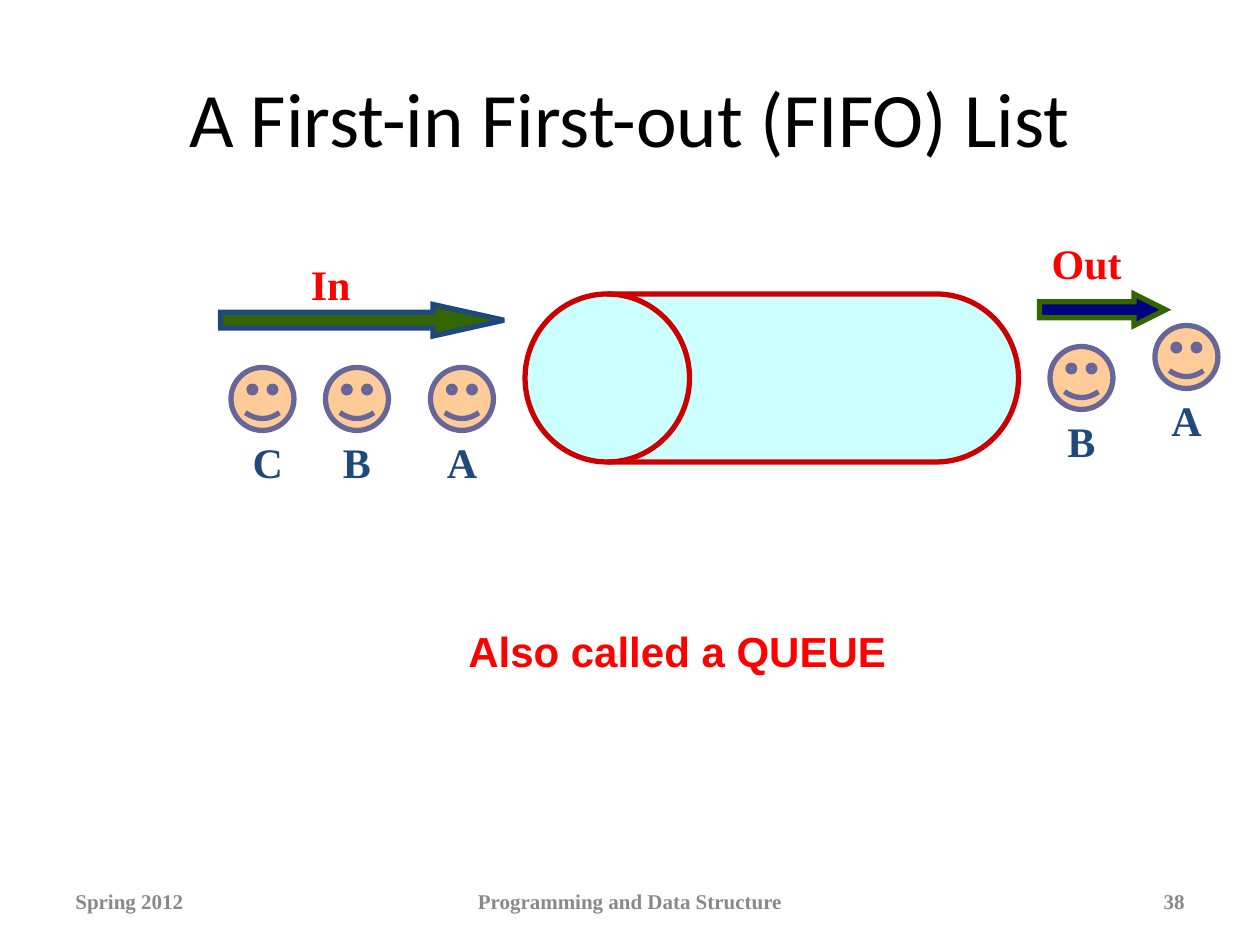
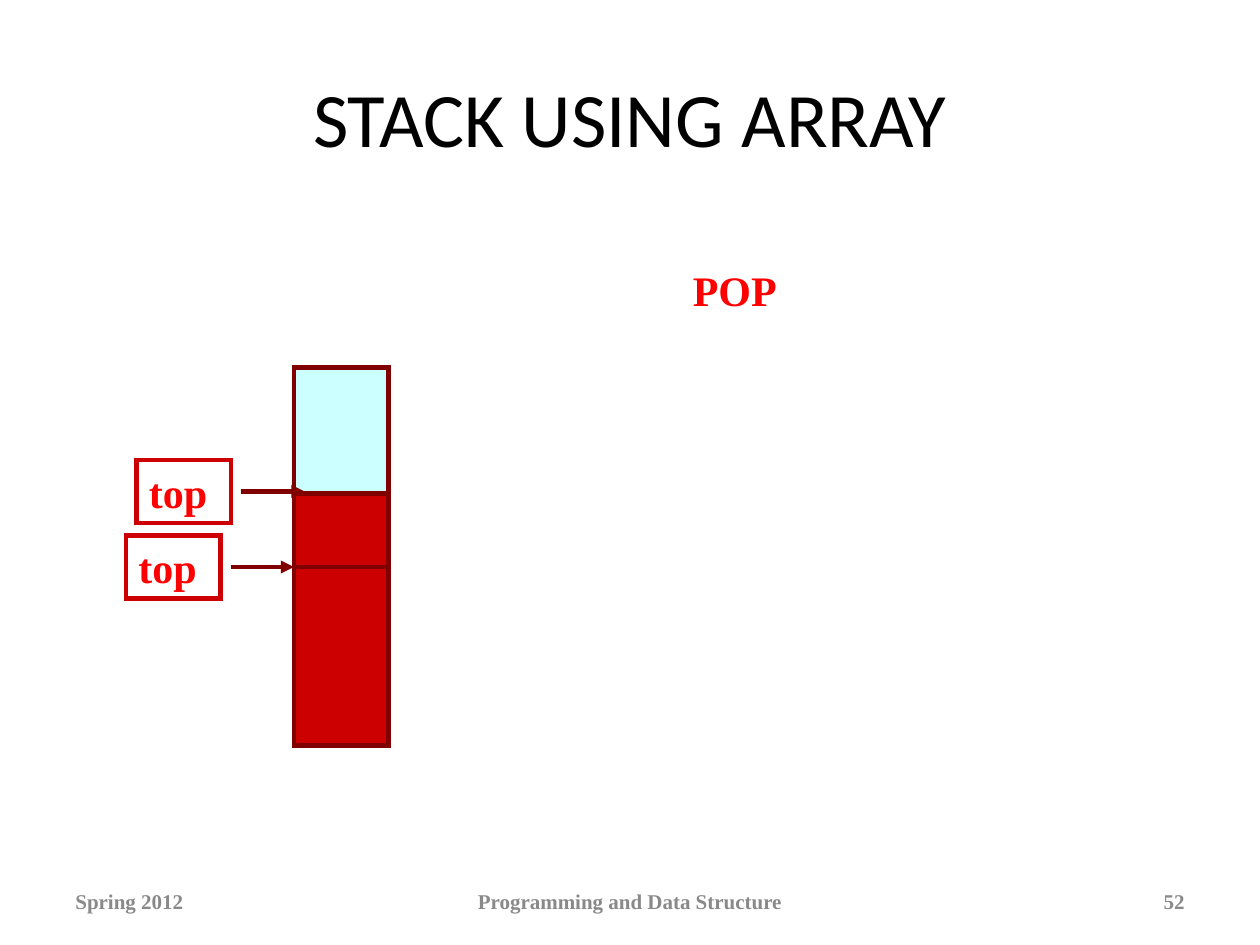
"""Build two slides: a first-in first-out list and popping a stack kept in an array."""
from lxml import etree
from pptx import Presentation
from pptx.dml.color import RGBColor
from pptx.enum.shapes import MSO_CONNECTOR, MSO_SHAPE as Kind
from pptx.enum.text import MSO_ANCHOR as Anchor, PP_ALIGN as Align
from pptx.oxml.ns import qn
from pptx.util import Pt

rgb = RGBColor.from_string
SERIF = "Times New Roman"
BLACK, GREY, WHITE, RED = "000000", "898989", "FFFFFF", "FF0000"
CRIMSON, MAROON, CYAN = "CC0000", "800000", "CCFFFF"
NAVY, BLUE, GREEN = "000080", "1F497D", "336600"
SKIN, SLATE = "FFCC99", "666699"


def draw(shapes, kind, place, fill, line, width):
    shape = shapes.add_shape(kind, *map(Pt, place))
    shape.shadow.inherit = False
    if fill:
        shape.fill.solid()
        shape.fill.fore_color.rgb = rgb(fill)
    else:
        shape.fill.background()
    shape.line.color.rgb = rgb(line)
    shape.line.width = Pt(width)
    etree.SubElement(shape.line._get_or_add_ln(), qn("a:miter"), lim="800000")
    return shape


def write(box, words, color, size=24, font=SERIF, bold=True, align=Align.CENTER,
          anchor=Anchor.TOP):
    frame = box.text_frame
    frame.word_wrap = True
    frame.vertical_anchor = anchor
    para = frame.paragraphs[0]
    para.alignment = align
    span = para.add_run()
    span.text = words
    span.font.size = Pt(size)
    span.font.name = font
    span.font.bold = bold
    span.font.color.rgb = rgb(color)


deck = Presentation()
deck.slide_width, deck.slide_height = Pt(720), Pt(540)

pages = []
for title, number in [("A First-in First-out (FIFO) List", "38"), ("STACK USING ARRAY", "52")]:
    page = deck.slides.add_slide(deck.slide_layouts[6])
    page.background.fill.solid()
    page.background.fill.fore_color.rgb = rgb(WHITE)
    box = page.shapes.add_textbox(Pt(36), Pt(21.6), Pt(648), Pt(90))
    write(box, title, BLACK, 44, "Calibri", False, anchor=Anchor.MIDDLE)
    for words, left, width, align in [
        ("Spring 2012", 36, 168, Align.LEFT),
        ("Programming and Data Structure", 246, 228, Align.CENTER),
        (number, 516, 168, Align.RIGHT),
    ]:
        box = page.shapes.add_textbox(Pt(left), Pt(500.4), Pt(width), Pt(28.8))
        write(box, words, GREY, 12, align=align, anchor=Anchor.MIDDLE)
    pages.append(page)
queue_page, stack_page = pages

drum = draw(queue_page.shapes, Kind.FLOWCHART_DIRECT_ACCESS_STORAGE, (300, 168, 282, 96),
            CYAN, CRIMSON, 3)
drum.rotation = 180

for place, head_length, fill, line in [
    ((126, 174, 162, 18), 2.25, GREEN, BLUE),
    ((594, 168, 72, 18), 1, NAVY, GREEN),
]:
    arrow = draw(queue_page.shapes, Kind.RIGHT_ARROW, place, fill, line, 3)
    arrow.adjustments[0] = 0.5
    arrow.adjustments[1] = head_length

for words, place, font in [
    ("Also called a QUEUE", (192, 354, 390, 36), "Arial"),
    ("In", (156, 144, 66, 36), SERIF),
    ("Out", (588, 132, 66, 36), SERIF),
]:
    write(queue_page.shapes.add_textbox(*map(Pt, place)), words, RED, font=font)

for name, left, top, label_width in [
    ("A", 246, 210, 48),
    ("C", 132, 210, 54),
    ("B", 186, 210, 48),
    ("A", 660, 186, 48),
    ("B", 600, 198, 48),
]:
    person = queue_page.shapes.add_group_shape().shapes
    draw(person, Kind.SMILEY_FACE, (left, top, 36, 36), SKIN, SLATE, 3)
    label = person.add_textbox(Pt(left - 6), Pt(top + 36), Pt(label_width), Pt(36))
    write(label, name, BLUE)

for top, height, fill in [(324, 102, CRIMSON), (210, 114, CYAN)]:
    draw(stack_page.shapes, Kind.RECTANGLE, (168, top, 54, height), fill, MAROON, 2.5)

for left, top in [(72, 306), (78, 262.8)]:
    pointer = stack_page.shapes.add_group_shape().shapes
    box = draw(pointer, Kind.RECTANGLE, (left, top, 54, 36), None, CRIMSON, 2.5)
    write(box, "top", RED, align=Align.LEFT)
    start, middle = left + 60, top + 18
    arrow = pointer.add_connector(MSO_CONNECTOR.STRAIGHT, Pt(start), Pt(middle),
                                  Pt(start + 36), Pt(middle))
    arrow.line.color.rgb = rgb(MAROON)
    arrow.line.width = Pt(2.5)
    etree.SubElement(arrow.line._get_or_add_ln(), qn("a:tailEnd"), type="triangle")
    etree.SubElement(arrow._element.spPr, qn("a:effectLst"))

draw(stack_page.shapes, Kind.RECTANGLE, (168, 282, 54, 42), CRIMSON, MAROON, 2.5)
box = stack_page.shapes.add_textbox(Pt(388.8), Pt(147.6), Pt(72), Pt(36))
write(box, "POP", RED, align=Align.LEFT)

deck.save("out.pptx")
